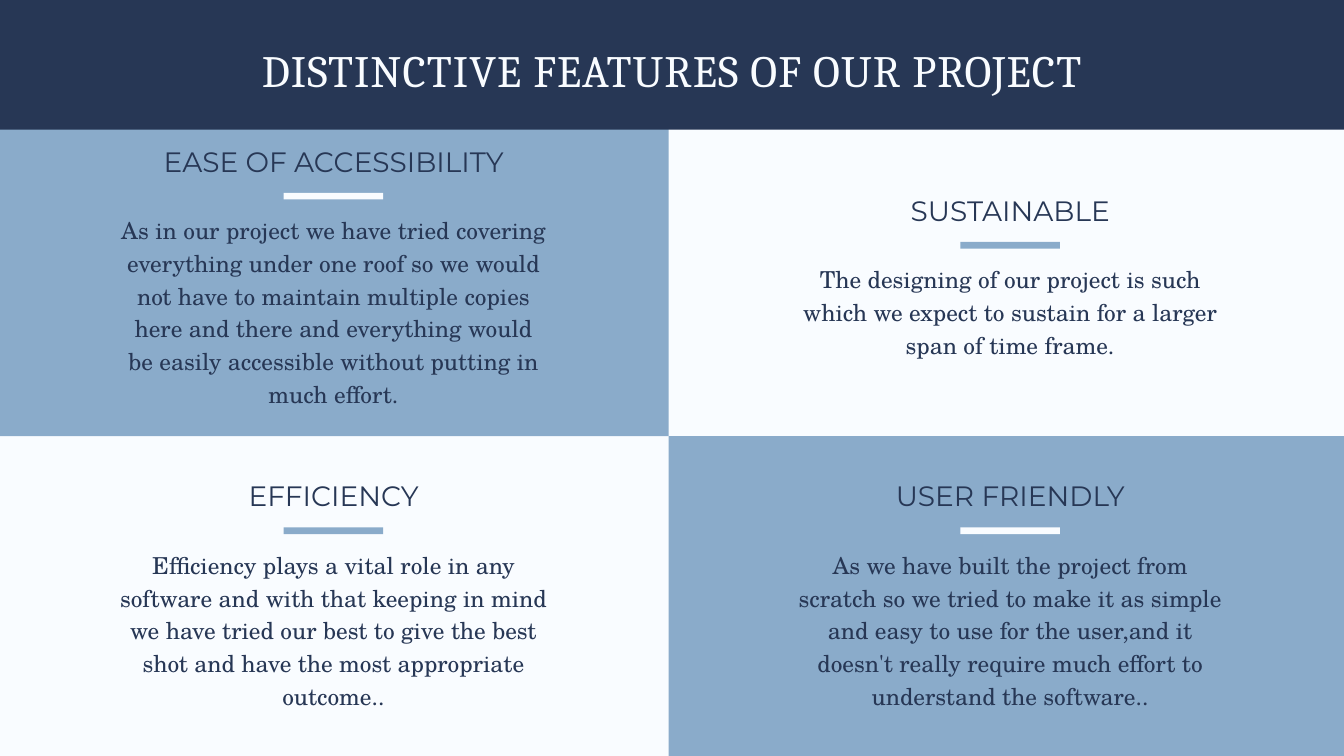
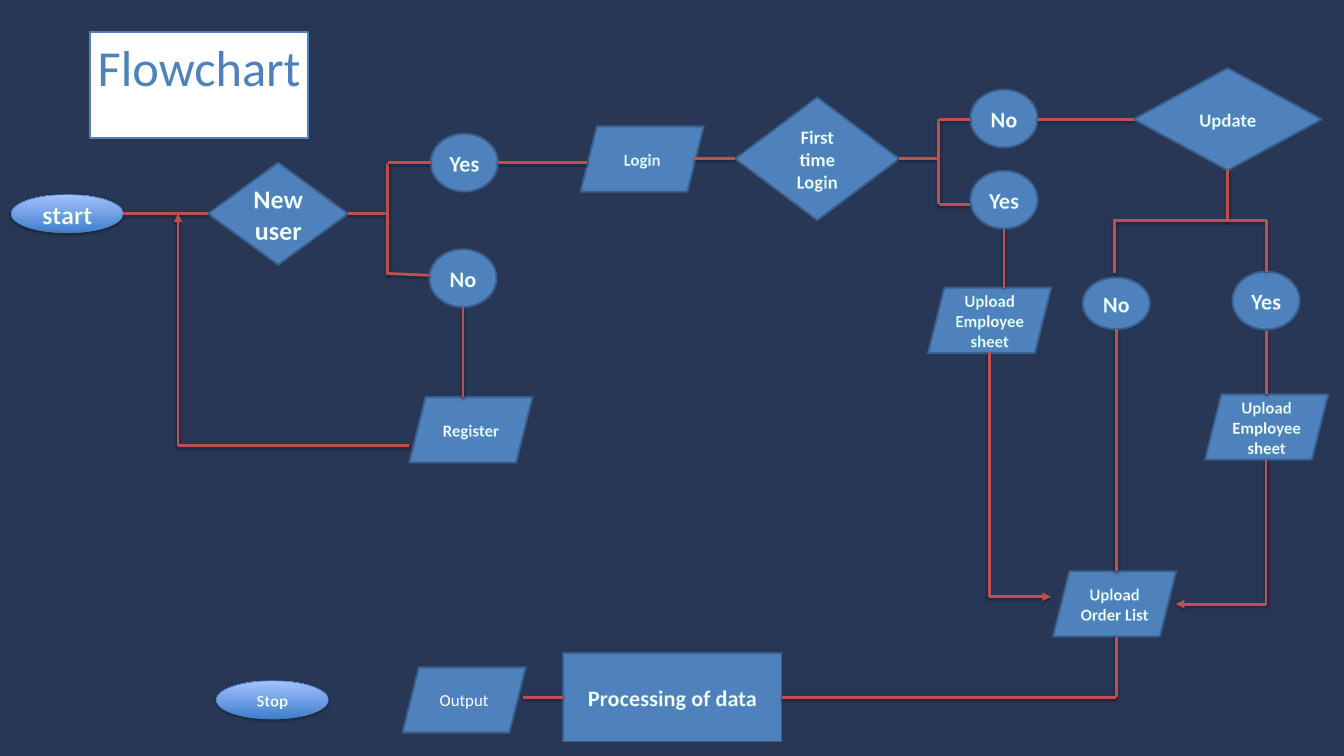
"""Build a two-slide deck: a feature grid and a flowchart."""
from lxml import etree
from pptx import Presentation
from pptx.dml.color import RGBColor
from pptx.enum import shapes, text
from pptx.oxml.ns import qn
from pptx.util import Pt

COLORS = {"navy": "273755", "sky": "8AABCA", "pale": "F9FCFF", "white": "FFFFFF",
          "blue": "4F81BD", "edge": "3A5F8C", "red": "C0504D", "outline": "4BACC6"}
RGB = {name: RGBColor.from_string(value) for name, value in COLORS.items()}
KIND = shapes.MSO_SHAPE


def write(tf, label, size, font, color, spacing=None, bold=False):
    p = tf.paragraphs[0]
    p.text = label
    p.alignment = text.PP_ALIGN.CENTER
    if spacing:
        p.line_spacing = Pt(spacing)
        tf.margin_left = tf.margin_top = tf.margin_right = tf.margin_bottom = 0
        tf.word_wrap = True
        tf.auto_size = text.MSO_AUTO_SIZE.SHAPE_TO_FIT_TEXT
    p.font.size = Pt(size)
    p.font.name = font
    p.font.bold = bold
    p.font.color.rgb = RGB[color]
    return p._p.pPr.find(qn("a:defRPr"))


def add_block(parent, kind, box, fill, line=None):
    sp = parent.add_shape(kind, *map(Pt, box))
    sp.shadow.inherit = False
    sp.fill.solid()
    sp.fill.fore_color.rgb = RGB[fill]
    if line:
        sp.line.color.rgb = RGB[line]
        sp.line.width = Pt(2)
    else:
        sp.line.fill.background()
    return sp


prs = Presentation()
prs.slide_width, prs.slide_height = Pt(1440), Pt(810)
slides = []
for background, box in (("pale", (172.8, 41, 1095, 60.5)),
                        ("navy", (96.5, 34.6, 234, 72.7))):
    s = prs.slides.add_slide(prs.slide_layouts[5])
    s.background.fill.solid()
    s.background.fill.fore_color.rgb = RGB[background]
    title = s.shapes.title
    title.left, title.top, title.width, title.height = map(Pt, box)
    title.text_frame.vertical_anchor = text.MSO_ANCHOR.TOP
    slides.append(s)
features, flow = slides

for box in ((0, 94.3, 716.4, 373), (716.4, 467.3, 723.6, 342.7)):
    add_block(features.shapes, KIND.RECTANGLE, box, "sky")

LEFT, RIGHT = 95.8, 820.8
cards = [
    (LEFT, 148.3, 6, "pale", "EASE OF ACCESSIBILITY",
     "As in our project we have tried covering everything under one roof so we would "
     "not have to maintain multiple copies here and there and everything would be "
     "easily accessible without putting in much effort."),
    (RIGHT, 506.9, 5, "pale", "USER FRIENDLY",
     "As we have built the project from scratch so we tried to make it as simple and "
     "easy to use for the user,and it doesn't really require much effort to "
     "understand the software.."),
    (RIGHT, 200.9, 3, "sky", "SUSTAINABLE",
     "The designing of our project is such which we expect to sustain for a larger "
     "span of time frame."),
    (LEFT, 506.9, 5, "sky", "EFFICIENCY",
     "Efficiency plays a vital role in any software and with that keeping in mind we "
     "have tried our best to give the best shot and have the most appropriate "
     "outcome.."),
]
for x, y, lines, bar, heading, body in cards:
    card = features.shapes.add_group_shape().shapes
    tb = card.add_textbox(Pt(x), Pt(y), Pt(523.4), Pt(39.6))
    write(tb.text_frame, heading, 30, "Montserrat", "navy", 42)
    tb = card.add_textbox(Pt(x + 32.8), Pt(y + 78.5), Pt(457.2), Pt(34.7 * lines))
    write(tb.text_frame, body, 25, "TeX Gyre Schola", "navy", 35)
    add_block(card, KIND.RECTANGLE, (x + 208.2, y + 58.3, 106.6, 7.2), bar)

add_block(features.shapes, KIND.RECTANGLE, (0, -50.4, 1440, 189.4), "navy")
title = features.shapes.title
write(title.text_frame, "DISTINCTIVE FEATURES OF OUR PROJECT", 48, "Cambria", "pale",
      62.4).set("spc", "120")
features.shapes.element.append(title.element)

title = flow.shapes.title
write(title.text_frame, "Flowchart", 54, "Calibri", "blue")
title.text_frame.word_wrap = False
title.text_frame.auto_size = text.MSO_AUTO_SIZE.SHAPE_TO_FIT_TEXT
title.fill.solid()
title.fill.fore_color.rgb = RGB["white"]
title.line.color.rgb = RGB["blue"]
title.line.width = Pt(2)

TERMINAL, ANSWER, DATA = (120, 41), (72, 62), (132, 70)
steps = [
    ("start", KIND.OVAL, (12, 208.5), TERMINAL, 28),
    ("New user", KIND.DIAMOND, (223, 174.2), (150, 109.6), 28),
    ("Yes", KIND.OVAL, (461.5, 143.3), ANSWER, 24),
    ("No", KIND.OVAL, (460, 267), ANSWER, 24),
    ("Register", KIND.PARALLELOGRAM, (438.5, 425.5), DATA, 18),
    ("Login", KIND.PARALLELOGRAM, (622, 135.4), DATA, 18),
    ("First time Login", KIND.DIAMOND, (787.7, 104.2), (175.8, 131.8), 20),
    ("Yes", KIND.OVAL, (1039.7, 183), ANSWER, 24),
    ("No", KIND.OVAL, (1039.7, 96), ANSWER, 24),
    ("Upload Employee sheet", KIND.PARALLELOGRAM, (994.3, 308.2), DATA, 18),
    ("Update", KIND.DIAMOND, (1214.6, 73), (201.6, 109.6), 20),
    ("Yes", KIND.OVAL, (1320.5, 291), ANSWER, 24),
    ("No", KIND.OVAL, (1160, 297.4), (72, 55.4), 24),
    ("Upload Employee sheet", KIND.PARALLELOGRAM, (1291, 422.6), DATA, 18),
    ("Upload Order List", KIND.PARALLELOGRAM, (1128.2, 612), DATA, 18),
    ("Processing of data", KIND.RECTANGLE, (603.4, 699.5), (234, 95), 24),
    ("Output", KIND.PARALLELOGRAM, (431.3, 715), DATA, 18),
    ("Stop", KIND.OVAL, (231.8, 729.4), TERMINAL, 18),
]
nodes = {}
for label, kind, position, size, points in steps:
    box = position + size
    if size == TERMINAL:
        sp = flow.shapes.add_shape(kind, *map(Pt, box))
    else:
        sp = add_block(flow.shapes, kind, box, "blue", "edge")
    nodes[label] = sp
    tf = sp.text_frame
    tf.word_wrap = label != "start"
    tf.vertical_anchor = text.MSO_ANCHOR.MIDDLE
    bold = label != "Output"
    font = write(tf, label, points, "Calibri", "white", bold=bold)
    if bold:
        ln = etree.Element(qn("a:ln"), w="10160")
        fill = etree.SubElement(ln, qn("a:solidFill"))
        etree.SubElement(fill, qn("a:srgbClr"), val=COLORS["outline"])
        font.insert(0, ln)

TOP_SITE, LEFT_SITE, BOTTOM_SITE, RIGHT_SITE = range(4)
links = [
    ((132, 229), ("New user", LEFT_SITE), None),
    (("New user", RIGHT_SITE), (415.5, 229), None),
    ((415.5, 295), (415.5, 174.3), None),
    ((415.5, 174.3), (461.5, 174.3), None),
    ((415.5, 293), (460, 295), None),
    ((496, 329), (496, 425.5), None),
    ((533.5, 174.3), (628.6, 174.3), None),
    ((743.8, 170.1), ("First time Login", LEFT_SITE), None),
    (("First time Login", RIGHT_SITE), (1005.8, 170.1), None),
    ((1005.8, 219), (1005.8, 127.8), None),
    ((1005.8, 127.8), (1039.7, 127.8), None),
    ((1005.8, 219), (1039.7, 219), None),
    ((1075.7, 308.2), (1075.7, 245), None),
    ((1111.7, 127.8), ("Update", LEFT_SITE), None),
    (("Update", BOTTOM_SITE), (1315.4, 236.2), None),
    ((1193, 236.2), (1357, 236.2), None),
    ((1357, 291), (1357, 236.2), None),
    ((1194.5, 293), (1194.5, 236.2), None),
    ((1357, 422.6), (1357, 355), None),
    ((1196, 612), (1196, 352.8), None),
    ((1196, 682), (1196, 747), None),
    (("Processing of data", RIGHT_SITE), (1196, 747), None),
    ((560, 747), ("Processing of data", LEFT_SITE), None),
    ((438.5, 477.3), (190.8, 229), "tailEnd"),
    ((1260, 647.3), (1356.5, 492.5), "headEnd"),
    ((1126, 639.4), (1059.8, 377.5), "headEnd"),
]
for start, end, arrow in links:
    ends = [(0, 0) if point[0] in nodes else point for point in (start, end)]
    style = shapes.MSO_CONNECTOR.ELBOW if arrow else shapes.MSO_CONNECTOR.STRAIGHT
    cx = flow.shapes.add_connector(style, *map(Pt, ends[0] + ends[1]))
    if start[0] in nodes:
        cx.begin_connect(nodes[start[0]], start[1])
    if end[0] in nodes:
        cx.end_connect(nodes[end[0]], end[1])
    cx.line.color.rgb = RGB["red"]
    cx.line.width = Pt(3)
    cx._element.find(".//" + qn("a:effectRef")).set("idx", "2")
    if arrow:
        cx._element.find(".//" + qn("a:prstGeom")).set("prst", "bentConnector2")
        etree.SubElement(cx.line._get_or_add_ln(), qn("a:" + arrow), type="triangle")

prs.save("out.pptx")
